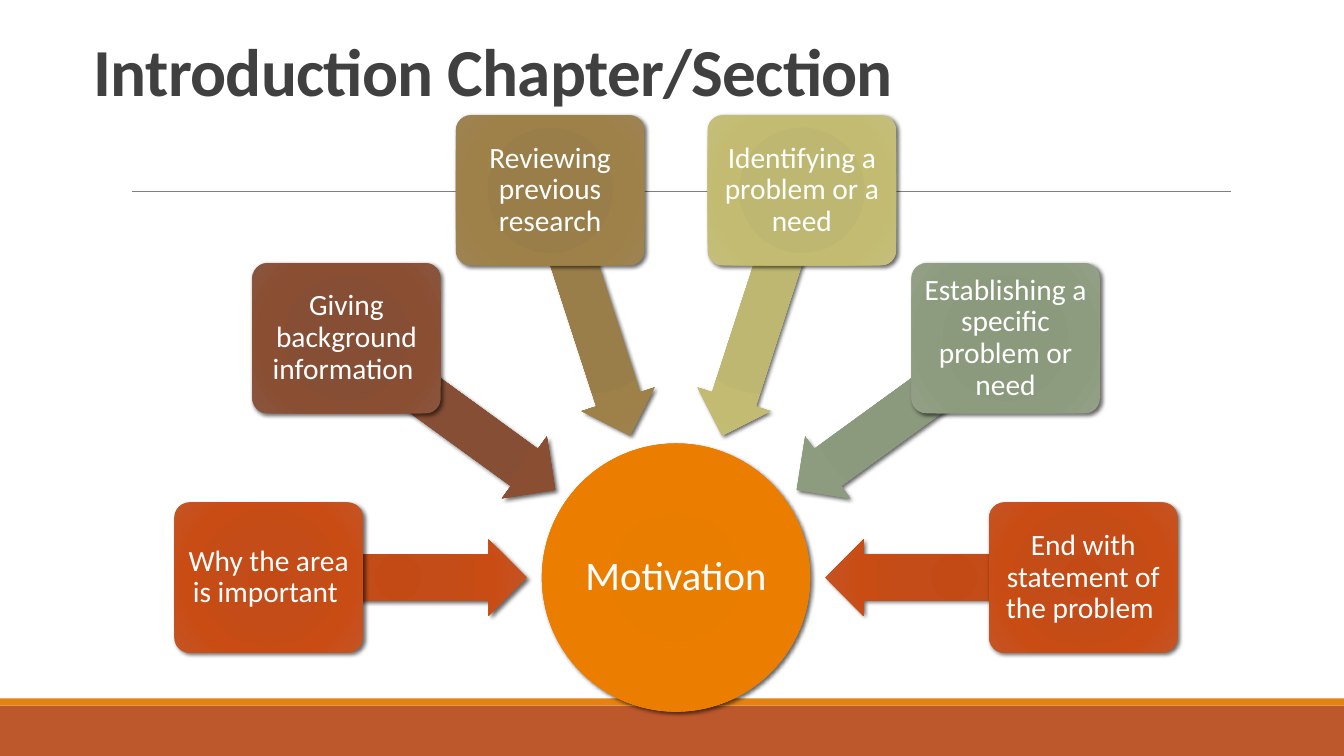
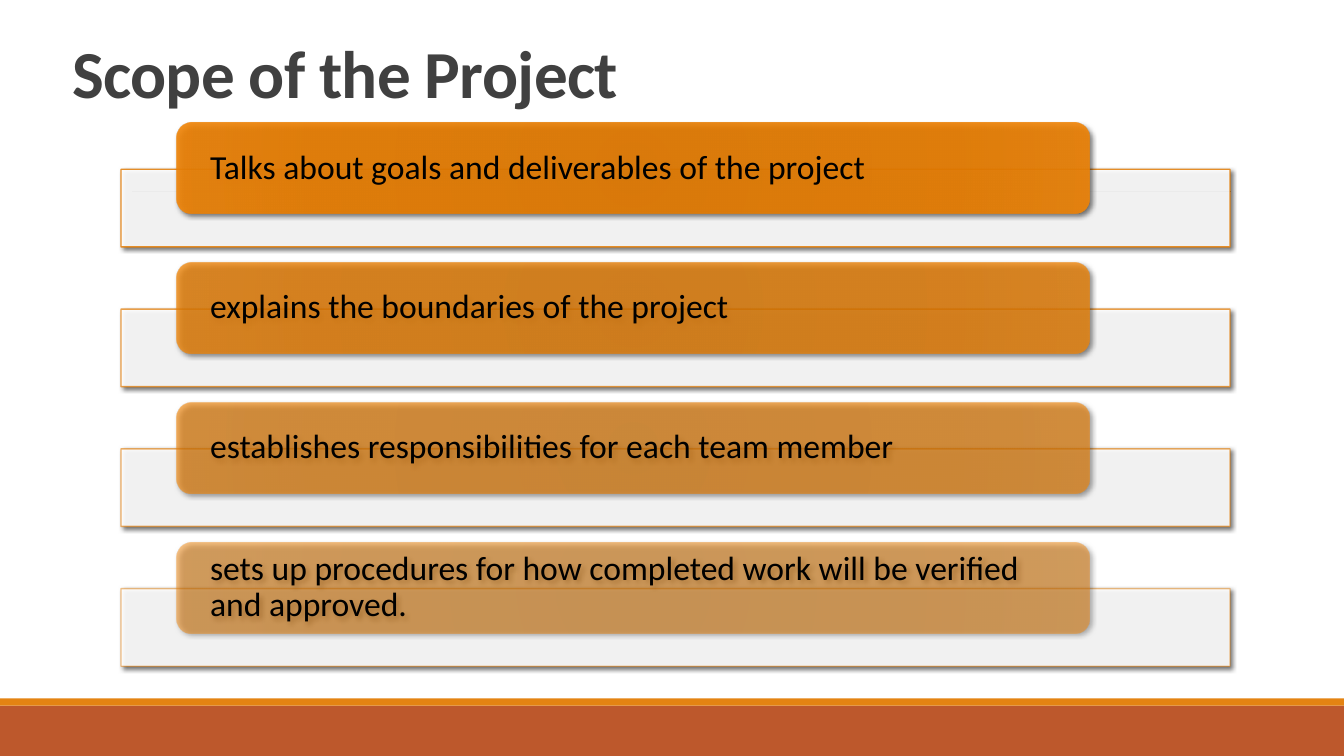
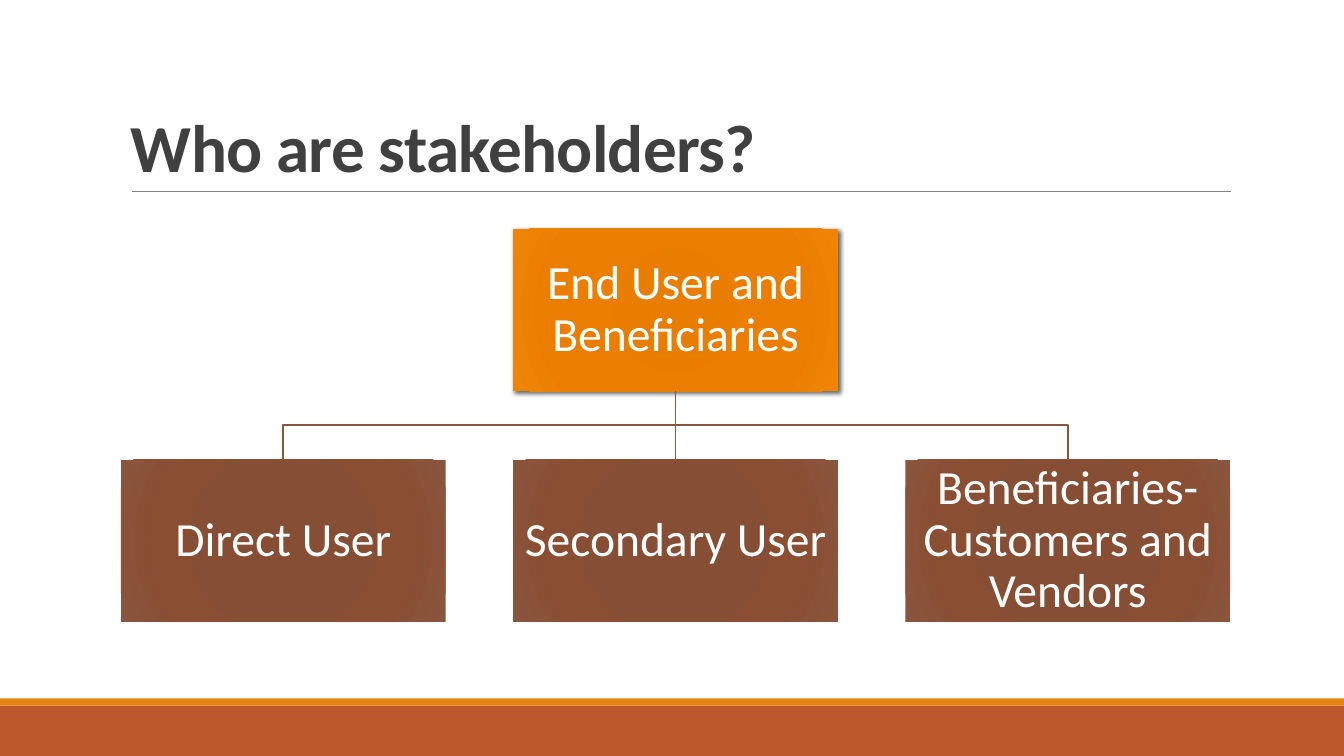
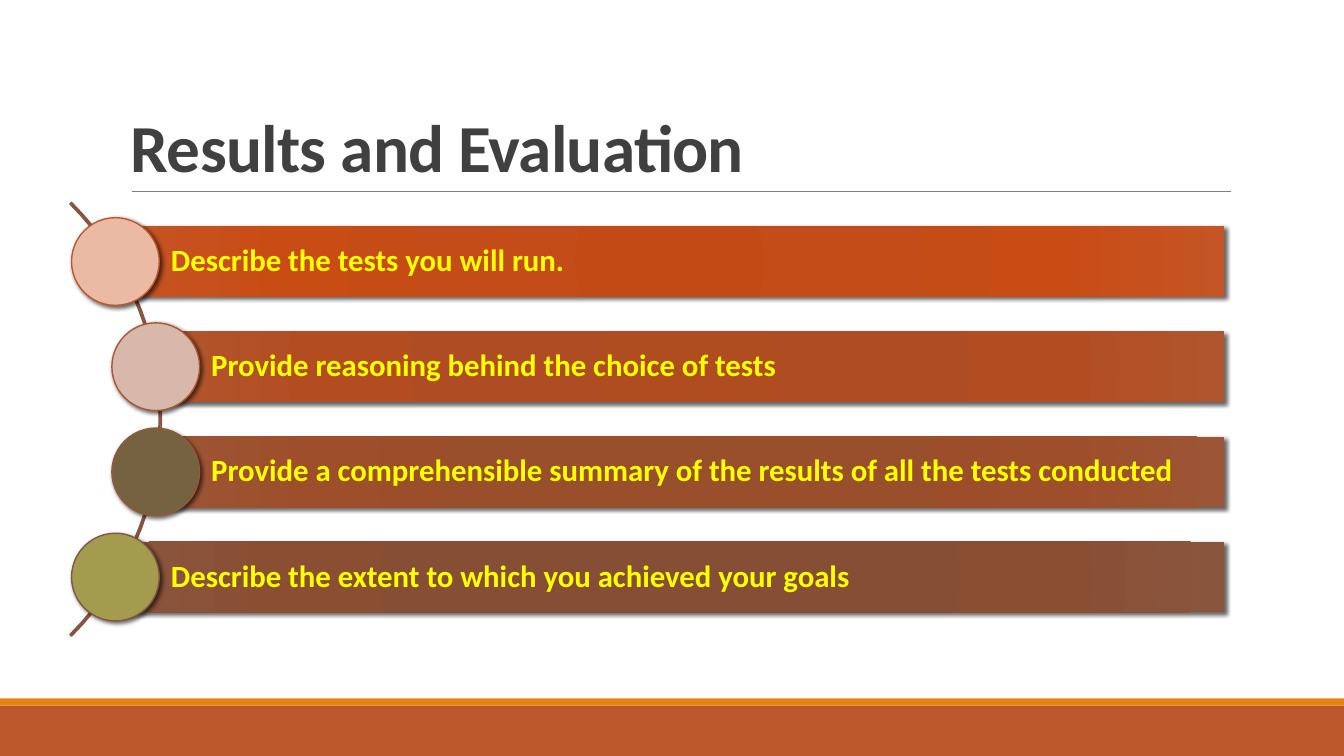
from math import cos, radians, sin

from pptx import Presentation
from pptx.dml.color import RGBColor
from pptx.enum.shapes import MSO_CONNECTOR, MSO_SHAPE
from pptx.enum.text import MSO_ANCHOR, PP_ALIGN
from pptx.oxml import parse_xml
from pptx.oxml.ns import nsdecls, qn
from pptx.util import Inches, Pt

FONT = "Calibri"
WHITE, BLACK, YELLOW = "FFFFFF", "000000", "FFFF00"
TITLE, RULE, BAND, STRIPE = "404040", "808080", "BD582C", "E48312"
BROWN = "865640"

# Gradient colours from the centre outwards
STOPS = (0, 34, 70, 100)
ORANGE = ("E57B00", "E87D00", "EB7E00", "EF8407")
RED = ("C44A15", "C34C18", "C94C15", "C45525")
RUST = ("AF4C20", "AE4D23", "B34D21", "B0562E")
CLAY = ("9A4C29", "994E2C", "9E4E2A", "9C5536")
UMBER = ("874C32", "864E34", "8A4E33", "8A553D")
OCHRE = ("9A7D48", "9A7E4A", "9E8049", "9E8454")
STRAW = ("BEB76E", "BEB771", "C3BB71", "C5BF7D")
SAGE = ("8A987B", "8B997D", "8D9C7E", "94A187")


def rgb(code):
    return RGBColor.from_string(code)


def fade(fill, alpha):
    """Make a solid fill partly transparent; alpha is a percentage."""
    color = fill._xPr.find(qn("a:solidFill"))[0]
    color.append(parse_xml(f'<a:alpha {nsdecls("a")} val="{round(alpha * 1000)}"/>'))


def blend(shape, colors, alpha):
    """Fill a shape with a round gradient."""
    shape.fill.gradient()
    stops = "".join(
        f'<a:gs pos="{pos * 1000}"><a:srgbClr val="{code}">'
        f'<a:alpha val="{round(alpha * 1000)}"/></a:srgbClr></a:gs>'
        for pos, code in zip(STOPS, colors))
    spot = 'l="100000" t="100000" r="100000" b="100000"'
    props = shape._element.spPr
    props.replace(props.find(qn("a:gradFill")), parse_xml(
        f'<a:gradFill {nsdecls("a")} rotWithShape="1"><a:gsLst>{stops}</a:gsLst>'
        f'<a:path path="circle"><a:fillToRect {spot}/></a:path></a:gradFill>'))


def shade(shape, blur):
    """Cast a soft shadow down to the right; blur is in points."""
    props = shape._element.spPr
    props.find(qn("a:effectLst")).append(parse_xml(
        f'<a:outerShdw {nsdecls("a")} blurRad="{Pt(blur)}" dist="{Pt(2)}" '
        'dir="2700000" algn="tl" rotWithShape="0"><a:srgbClr val="000000">'
        '<a:alpha val="60000"/></a:srgbClr></a:outerShdw>'))


def draw(slide, kind, box, fill, line=None, alpha=100, edge=100, blur=3, adj=()):
    """Add a preset shape; fill is one colour or a set of gradient colours."""
    shape = slide.shapes.add_shape(kind, *map(Inches, box))
    for index, value in enumerate(adj):
        shape.adjustments[index] = value
    if isinstance(fill, tuple):
        blend(shape, fill, alpha)
    else:
        shape.fill.solid()
        shape.fill.fore_color.rgb = rgb(fill)
        fade(shape.fill, alpha)
    if line:
        shape.line.color.rgb = rgb(line)
        shape.line.width = Pt(1)
        fade(shape.line.fill, edge)
    else:
        shape.line.fill.background()
    shape.shadow.inherit = False
    if blur:
        shade(shape, blur)
    return shape


def write(shape, text, size, color, pad=(0.04,) * 4, align=PP_ALIGN.LEFT,
          bold=False, anchor=MSO_ANCHOR.MIDDLE, space=0.9):
    """Put one paragraph in a shape; pad is left, top, right, bottom."""
    frame = shape.text_frame
    frame.word_wrap = True
    frame.vertical_anchor = anchor
    (frame.margin_left, frame.margin_top,
     frame.margin_right, frame.margin_bottom) = map(Inches, pad)
    frame.text = text
    para = frame.paragraphs[0]
    para.alignment = align
    para.line_spacing = space
    font = para.runs[0].font
    font.name, font.size, font.bold = FONT, Pt(size), bold
    font.color.rgb = rgb(color)
    return para.runs[0]


def link(slide, start, end, color, width):
    """Add a straight line without a shadow."""
    points = [Inches(value) for value in (*start, *end)]
    line = slide.shapes.add_connector(MSO_CONNECTOR.STRAIGHT, *points)
    line.line.color.rgb = rgb(color)
    line.line.width = Pt(width)
    line._element.spPr.append(parse_xml(f'<a:effectLst {nsdecls("a")}/>'))
    return line


def trace(slide, points, close=False):
    """Draw an unfilled brown outline through the points."""
    points = [(Inches(x), Inches(y)) for x, y in points]
    pen = slide.shapes.build_freeform(*points[0])
    pen.add_line_segments(points[1:], close=close)
    shape = pen.convert_to_shape()
    shape.fill.background()
    shape.line.color.rgb = rgb(BROWN)
    shape.line.width = Pt(1.25)
    shape.shadow.inherit = False


def start(deck, title, box):
    """Add a slide with the shared bands, rule and title."""
    slide = deck.slides.add_slide(deck.slide_layouts[6])
    draw(slide, MSO_SHAPE.RECTANGLE, (0, 7, 13.33, 0.5), BAND, blur=0)
    draw(slide, MSO_SHAPE.RECTANGLE, (0, 6.93, 13.33, 0.07), STRIPE, blur=0)
    link(slide, (1.31, 1.9), (12.21, 1.9), RULE, 0.5)
    label = slide.shapes.add_textbox(*map(Inches, box))
    run = write(label, title, 48, TITLE, (0.1, 0.05, 0.1, 0.05), bold=True,
                anchor=MSO_ANCHOR.BOTTOM, space=0.85)
    run.font._element.set("spc", "-50")
    return slide


def wheel(slide, box, hub, items):
    """Fan the items over a hub, with an arrow from each one to it."""
    left, top, width, height = box
    size, wide, high = 2.66, 1.87, 1.49
    mid_x, mid_y = left + width / 2, top + height - size / 2
    step = 180 / (len(items) - 1)

    def around(angle, reach, w, h):
        """Give the box centred at this angle and reach from the hub."""
        turn = radians(angle)
        return (mid_x - reach * cos(turn) - w / 2,
                mid_y - reach * sin(turn) - h / 2, w, h)

    disc = draw(slide, MSO_SHAPE.OVAL, around(0, 0, size, size), ORANGE)
    write(disc, hub, 29, WHITE, (0.02,) * 4, PP_ALIGN.CENTER)
    for index, (text, colors) in enumerate(items):
        angle = index * step
        arrow = draw(slide, MSO_SHAPE.LEFT_ARROW, around(angle, 2.76, 2.56, 0.76),
                     colors, adj=(0.6, 0.5))
        arrow.rotation = (180 + angle) % 360
        card = draw(slide, MSO_SHAPE.ROUNDED_RECTANGLE,
                    around(angle, (width - wide) / 2, wide, high), colors, adj=(0.1,))
        write(card, text, 21, WHITE, align=PP_ALIGN.CENTER)


def tags(slide, box, items):
    """Stack pale bars, each with a tag that fades from row to row."""
    left, top, width, height = box
    drop, bar = 0.46, 0.77
    last = len(items) - 1
    pitch = (height - drop - bar) / last
    for index, text in enumerate(items):
        row = top + index * pitch
        alpha = 90 - 40 * index / last
        draw(slide, MSO_SHAPE.RECTANGLE, (left, row + drop, width, bar), WHITE,
             STRIPE, alpha=90, edge=alpha)
        tag = draw(slide, MSO_SHAPE.ROUNDED_RECTANGLE, (left + 0.55, row, 9.06, 0.9),
                   ORANGE, alpha=alpha, blur=3.5)
        write(tag, text, 24, BLACK, (0.29, 0, 0.29, 0))


def tree(slide, box, root, items):
    """Set one root box over a row of linked boxes."""
    left, top, width, height = box
    wide, high = 3.22, 1.61
    pitch = (width - wide) / (len(items) - 1)
    mid, low = left + width / 2, top + height - high

    def node(text, x, y, colors, blur):
        card = draw(slide, MSO_SHAPE.RECTANGLE, (x, y, wide, high), colors, blur=blur)
        write(card, text, 34, WHITE, (0.02,) * 4, PP_ALIGN.CENTER)
        return card

    head = node(root, mid - wide / 2, top, ORANGE, 3)
    foot = top + high
    bend = (foot + low) / 2
    for index, text in enumerate(items):
        x = left + index * pitch
        center = x + wide / 2
        leaf = node(text, x, low, UMBER, 0)
        if abs(center - mid) < 0.01:
            line = link(slide, (mid, foot), (mid, low), BROWN, 1.25)
            line.begin_connect(head, 2)
            line.end_connect(leaf, 0)
        else:
            trace(slide, [(mid, foot), (mid, bend), (center, bend), (center, low)])


def curve(slide, box, items):
    """String bars with round markers along an arc."""
    left, top, width, height = box
    dot, bar, outer, inner = 0.87, 0.7, 3.04, 3.02
    pitch = (height - dot) / (len(items) - 1)
    mid_x, mid_y = left - outer * cos(radians(45)), top + height / 2
    sweep = range(-45, 46, 3)
    ring = [(mid_x + reach * cos(radians(a)), mid_y + reach * sin(radians(a)))
            for reach, turn in ((outer, sweep), (inner, reversed(sweep)))
            for a in turn]
    trace(slide, ring, close=True)
    for index, (text, indent, colors, fill, line) in enumerate(items):
        x, y = left + indent, top + index * pitch
        start_x = x + dot / 2
        strip = draw(slide, MSO_SHAPE.RECTANGLE,
                     (start_x, y + (dot - bar) / 2, left + width - start_x, bar), colors)
        write(strip, text, 22, YELLOW, (0.55, 0.06, 0.06, 0.06), bold=True)
        draw(slide, MSO_SHAPE.OVAL, (x, y, dot, dot), fill, line)


def main():
    deck = Presentation()
    deck.slide_width, deck.slide_height = Inches(13.33), Inches(7.5)

    slide = start(deck, "Introduction Chapter/Section", (0.83, 0.31, 11.6, 0.83))
    wheel(slide, (1.73, 1.14, 9.95, 5.92), "Motivation ", [
        ("Why the area is important ", RED),
        ("Giving background information ", UMBER),
        ("Reviewing previous research", OCHRE),
        ("Identifying a problem or a need", STRAW),
        ("Establishing a specific problem or need", SAGE),
        ("End with statement of the problem ", RED),
    ])

    slide = start(deck, "Scope of the Project", (0.62, 0.28, 11, 0.88))
    tags(slide, (1.2, 1.22, 11, 5.39), [
        "Talks about goals and deliverables of the project",
        "explains the boundaries of the project",
        "establishes responsibilities for each team member",
        "sets up procedures for how completed work will be verified and approved.",
    ])

    low_title = (1.2, 0.31, 11, 1.59)
    slide = start(deck, "Who are stakeholders?", low_title)
    tree(slide, (1.2, 2.27, 11, 3.9), "End User and Beneficiaries", [
        "Direct User",
        "Secondary User",
        "Beneficiaries-Customers and Vendors",
    ])

    slide = start(deck, "Results and Evaluation", low_title)
    curve(slide, (0.71, 2.16, 11.43, 4), [
        ("Describe the tests you will run.", 0, RED, "EABAA5", BAND),
        ("Provide reasoning behind the choice of tests", 0.4, RUST, "D7B8AB", "AA5834"),
        ("Provide a comprehensible summary of the results of all the tests conducted",
         0.4, CLAY, "746241", "97573A"),
        ("Describe the extent to which you achieved your goals", 0, UMBER,
         "A39B4E", BROWN),
    ])

    deck.save("out.pptx")


if __name__ == "__main__":
    main()
